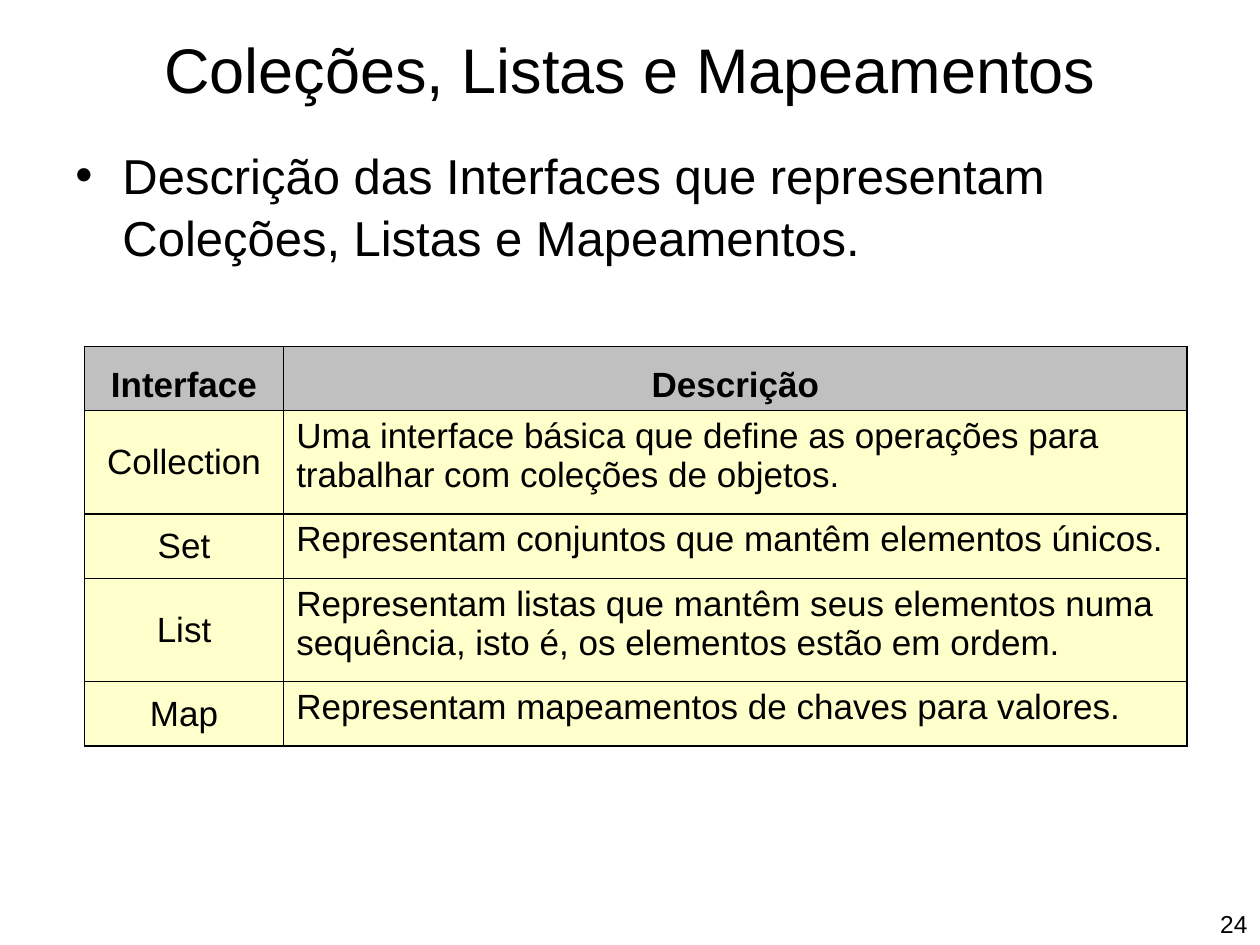
from typing import NamedTuple

from lxml.etree import SubElement
from pptx import Presentation
from pptx.dml.color import RGBColor as Rgb
from pptx.enum.text import MSO_ANCHOR as Anchor, MSO_AUTO_SIZE as Fit, PP_ALIGN as Align
from pptx.oxml.ns import qn
from pptx.util import Cm, Pt

FONT = "Arial"
INK = {"text": "000000", "head": "C0C0C0", "body": "FFFFCC", "line": "000000"}


class Box(NamedTuple):
    left: float
    top: float
    width: float
    height: float


class Look(NamedTuple):
    size: int
    align: Align = Align.LEFT
    anchor: Anchor = Anchor.TOP
    bold: bool = False


class Row(NamedTuple):
    name: str
    about: str
    height: float


HEAD = Row("Interface", "Descrição", 1.3)
ROWS = [
    Row("Collection", "Uma interface básica que define as operações para "
        "trabalhar com coleções de objetos.", 2.08),
    Row("Set", "Representam conjuntos que mantêm elementos únicos.", 1.3),
    Row("List", "Representam listas que mantêm seus elementos numa "
        "sequência, isto é, os elementos estão em ordem.", 2.08),
    Row("Map", "Representam mapeamentos de chaves para valores.", 1.3),
]
COLS = (4.02, 18.21)


def style(frame, text: str, look: Look) -> None:
    frame.text = text
    for para in frame.paragraphs:
        para.alignment = look.align
        for run in para.runs:
            run.font.name = FONT
            run.font.size = Pt(look.size)
            run.font.bold = look.bold
            run.font.color.rgb = Rgb.from_string(INK["text"])


def write(shape, text: str, look: Look) -> None:
    frame = shape.text_frame
    frame.word_wrap = True
    frame.auto_size = Fit.NONE
    frame.vertical_anchor = look.anchor
    style(frame, text, look)


def add_text(slide, box: Box, text: str, look: Look):
    shape = slide.shapes.add_textbox(*map(Cm, box))
    write(shape, text, look)
    return shape


def add_bullet(para, indent: float) -> None:
    props = para._p.get_or_add_pPr()
    props.set("marL", str(Cm(indent)))
    props.set("indent", str(-Cm(indent)))
    SubElement(props, qn("a:buFont"), typeface=FONT)
    SubElement(props, qn("a:buChar"), char="•")


def fill_cell(cell, text: str, look: Look, fill: str) -> None:
    cell.vertical_anchor = look.anchor
    style(cell.text_frame, text, look)
    # Borders come before the fill in the cell properties
    props = cell._tc.get_or_add_tcPr()
    for side in ("lnL", "lnR", "lnT", "lnB"):
        line = SubElement(props, qn(f"a:{side}"), w=str(Pt(1)))
        solid = SubElement(line, qn("a:solidFill"))
        SubElement(solid, qn("a:srgbClr"), val=INK["line"])
    cell.fill.solid()
    cell.fill.fore_color.rgb = Rgb.from_string(INK[fill])


def add_grid(slide, left: float, top: float) -> None:
    rows = [HEAD, *ROWS]
    high = sum(row.height for row in rows)
    box = Box(left, top, sum(COLS), high)
    grid = slide.shapes.add_table(len(rows), len(COLS), *map(Cm, box)).table
    for col, width in zip(grid.columns, COLS):
        col.width = Cm(width)

    head = Look(20, Align.CENTER, Anchor.BOTTOM, True)
    name = Look(20, Align.CENTER, Anchor.MIDDLE)
    about = Look(20)
    for i, row in enumerate(rows):
        grid.rows[i].height = Cm(row.height)
        looks = (name, about) if i else (head, head)
        for j, text in enumerate((row.name, row.about)):
            fill_cell(grid.cell(i, j), text, looks[j], "body" if i else "head")


def main() -> None:
    deck = Presentation()
    deck.slide_width, deck.slide_height = Cm(25.4), Cm(19.05)
    slide = deck.slides.add_slide(deck.slide_layouts[5])

    # Title
    title = slide.shapes.title
    title.left, title.top, title.width, title.height = map(
        Cm, Box(1.9, 0.64, 21.6, 1.47))
    write(title, "Coleções, Listas e Mapeamentos",
          Look(36, Align.CENTER, Anchor.MIDDLE))

    # Bullet
    intro = add_text(
        slide, Box(1.27, 2.75, 23.5, 1.9),
        "Descrição das Interfaces que representam Coleções, Listas e Mapeamentos.",
        Look(28))
    para = intro.text_frame.paragraphs[0]
    para.line_spacing = 1.05
    add_bullet(para, 0.95)

    # Table of interfaces
    add_grid(slide, 1.7, 6.98)

    # Page number
    add_text(slide, Box(19.48, 18.2, 5.92, 0.64), "24", Look(14, Align.RIGHT))

    deck.save("out.pptx")


if __name__ == "__main__":
    main()
